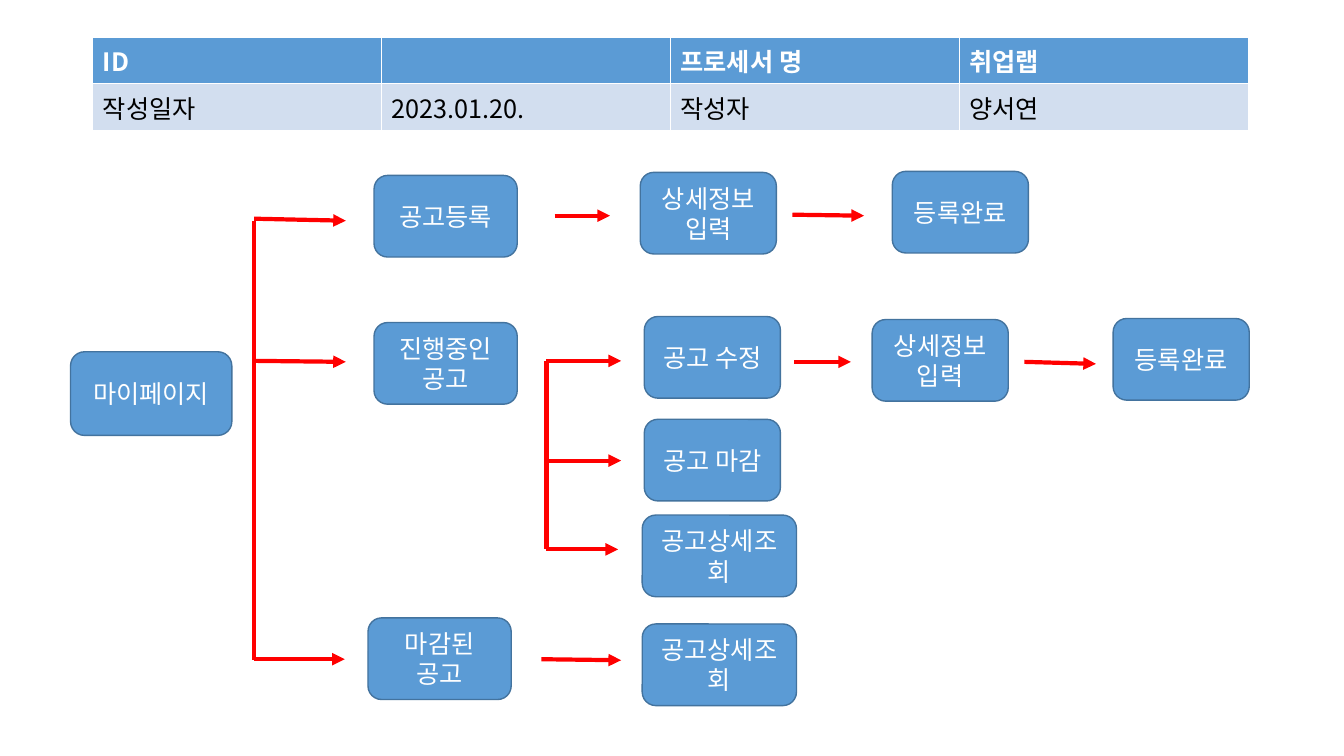
import pptx
import pptx.util
import pptx.dml.color
import pptx.enum.shapes
import pptx.enum.text
import pptx.oxml
import pptx.oxml.ns
from lxml import etree

Inches = pptx.util.Inches
Pt = pptx.util.Pt
RGBColor = pptx.dml.color.RGBColor
qn = pptx.oxml.ns.qn

FONT = "Noto Sans CJK KR"
BLUE = RGBColor(0x5B, 0x9B, 0xD5)
OUTLINE = RGBColor(0x43, 0x73, 0x9E)
PALE = RGBColor(0xD2, 0xDE, 0xEF)
RED = RGBColor(0xFF, 0x00, 0x00)
WHITE = RGBColor(0xFF, 0xFF, 0xFF)
BLACK = RGBColor(0x00, 0x00, 0x00)
BOX_H = 0.81
MENU_W = 1.42
STEP_W = 1.35
DETAIL_W = 1.53


def style_text(p, color, bold=False):
    p.font.name = FONT
    p.font.size = Pt(18)
    p.font.bold = bold
    p.font.color.rgb = color
    props = p._p.pPr.find(qn("a:defRPr"))
    etree.SubElement(props, qn("a:ea")).set("typeface", FONT)


def add_box(s, text, left, top, width, height=BOX_H):
    sp = s.shapes.add_shape(
        pptx.enum.shapes.MSO_SHAPE.ROUNDED_RECTANGLE,
        Inches(left), Inches(top), Inches(width), Inches(height))
    sp.shadow.inherit = False
    sp.fill.solid()
    sp.fill.fore_color.rgb = BLUE
    sp.line.color.rgb = OUTLINE
    sp.line.width = Pt(1)
    tf = sp.text_frame
    tf.word_wrap = True
    tf.vertical_anchor = pptx.enum.text.MSO_ANCHOR.MIDDLE
    p = tf.paragraphs[0]
    p.text = text
    p.alignment = pptx.enum.text.PP_ALIGN.CENTER
    style_text(p, WHITE)


def add_line(s, x1, y1, x2, y2, arrow=True):
    line = s.shapes.add_connector(
        pptx.enum.shapes.MSO_CONNECTOR.STRAIGHT,
        Inches(x1), Inches(y1), Inches(x2), Inches(y2))
    line.line.color.rgb = RED
    line.line.width = Pt(3)
    if arrow:
        ln = line.line._get_or_add_ln()
        etree.SubElement(ln, qn("a:tailEnd")).set("type", "triangle")
    etree.SubElement(line._element.spPr, qn("a:effectLst"))


def add_header(s, left, top, width, row_heights):
    rows = [["ID", "", "프로세서 명", "취업랩"],
            ["작성일자", "2023.01.20.", "작성자", "양서연"]]
    table = s.shapes.add_table(
        len(rows), len(rows[0]), Inches(left), Inches(top),
        Inches(width), Inches(sum(row_heights))).table
    for i, (texts, height) in enumerate(zip(rows, row_heights)):
        table.rows[i].height = Inches(height)
        for j, text in enumerate(texts):
            cell = table.cell(i, j)
            cell.fill.solid()
            cell.fill.fore_color.rgb = PALE if i else BLUE
            p = cell.text_frame.paragraphs[0]
            p.text = text
            style_text(p, BLACK if i else WHITE, bold=i == 0)


def add_branches(s, left, top, bottom, arrows):
    add_line(s, left, top, left, bottom, arrow=False)
    for y, length, drop in arrows:
        add_line(s, left, y, left + length, y + drop)


def add_my_page(s, left, top):
    add_box(s, "마이페이지", left, top, 1.6, 0.83)
    add_branches(s, left + 1.82, top - 1.3, top + 3.06,
                 [(top - 1.32, 0.91, 0.02), (top + 0.09, 0.91, 0.01),
                  (top + 3.05, 0.9, 0)])


def add_registration(s, left, top):
    add_box(s, "공고등록", left, top, MENU_W)
    add_line(s, left + 1.79, top + 0.4, left + 2.34, top + 0.4)
    add_box(s, "상세정보 입력", left + 2.64, top - 0.03, STEP_W)
    add_line(s, left + 4.15, top + 0.39, left + 4.86, top + 0.4)
    add_box(s, "등록완료", left + 5.14, top - 0.04, STEP_W)


def add_ongoing(s, left, top):
    add_box(s, "진행중인 공고", left, top, MENU_W)
    add_branches(s, left + 1.71, top + 0.38, top + 2.25,
                 [(top + 0.38, 0.74, 0), (top + 1.37, 0.74, 0),
                  (top + 2.25, 0.71, 0)])
    add_box(s, "공고 수정", left + 2.68, top - 0.06, STEP_W)
    add_box(s, "공고 마감", left + 2.68, top + 0.96, STEP_W)
    add_box(s, "공고상세조회", left + 2.66, top + 1.91, DETAIL_W)
    add_line(s, left + 4.17, top + 0.39, left + 4.73, top + 0.39)
    add_box(s, "상세정보 입력", left + 4.94, top - 0.03, STEP_W)
    add_line(s, left + 6.45, top + 0.39, left + 7.16, top + 0.41)
    add_box(s, "등록완료", left + 7.33, top - 0.04, STEP_W)


def add_closed(s, left, top):
    add_box(s, "마감된 공고", left, top, MENU_W)
    add_line(s, left + 1.72, top + 0.41, left + 2.51, top + 0.42)
    add_box(s, "공고상세조회", left + 2.72, top + 0.06, DETAIL_W)


def main():
    prs = pptx.Presentation()
    prs.slide_width = Inches(13.33)
    prs.slide_height = Inches(7.5)
    s = prs.slides.add_slide(prs.slide_layouts[6])
    add_header(s, 0.92, 0.37, 11.46, [0.46, 0.46])
    add_my_page(s, 0.7, 3.49)
    add_registration(s, 3.71, 1.74)
    add_ongoing(s, 3.71, 3.2)
    add_closed(s, 3.65, 6.13)
    prs.save("out.pptx")


if __name__ == "__main__":
    main()
